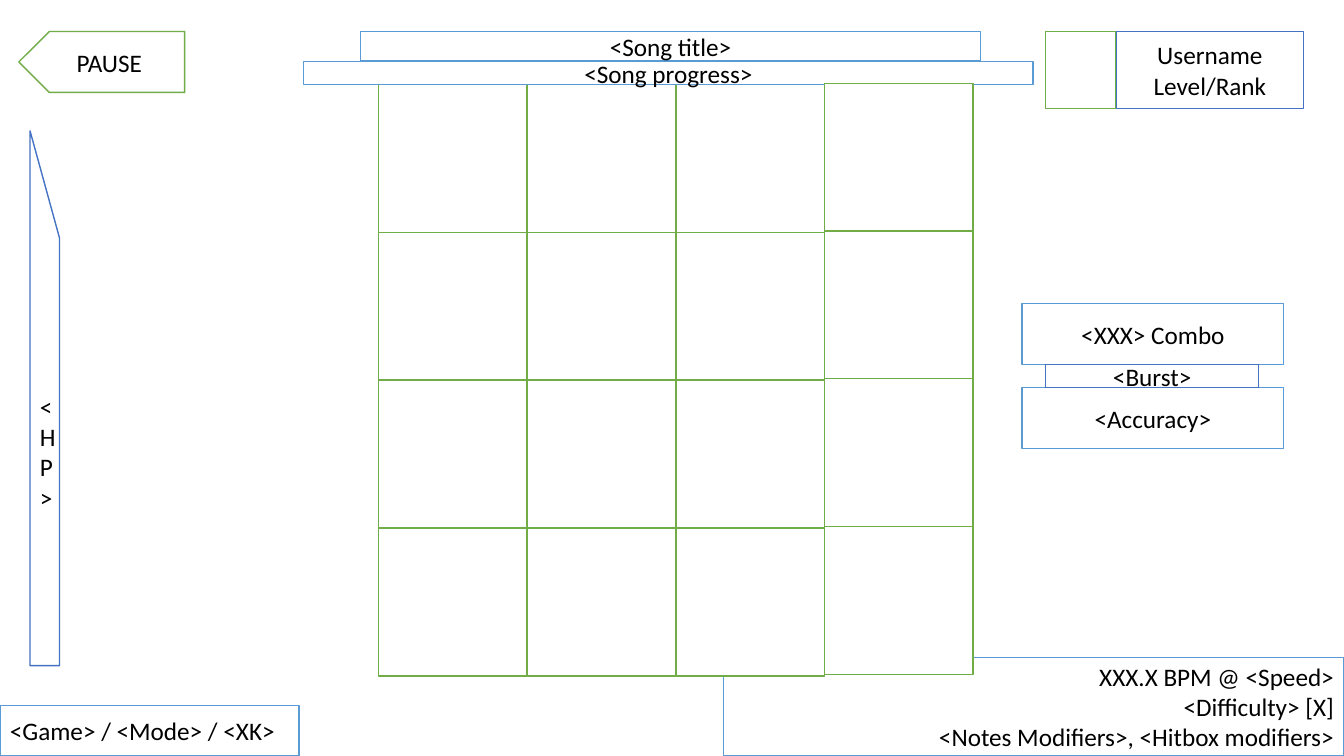
"""Build the wireframe of a rhythm game's play screen."""
from pptx import Presentation
from pptx.dml.color import RGBColor
from pptx.enum import shapes, text
from pptx.util import Pt

COLORS = {"blue": "4472C4", "sky": "5B9BD5", "green": "70AD47",
          "paper": "FFFFFF", "ink": "000000"}
KINDS = shapes.MSO_SHAPE
LEFT, CENTER, RIGHT = (text.PP_ALIGN.LEFT, text.PP_ALIGN.CENTER,
                       text.PP_ALIGN.RIGHT)
FONT = {"name": "Calibri", "size": Pt(18), "bold": False}
FRAME = {"word_wrap": True, "auto_size": text.MSO_AUTO_SIZE.NONE,
         "vertical_anchor": text.MSO_ANCHOR.MIDDLE,
         "margin_left": Pt(7.2), "margin_right": Pt(7.2),
         "margin_top": Pt(3.6), "margin_bottom": Pt(3.6)}

SONG_TITLE = ("<Song title>", (257.5, 22.5, 443, 21), "sky")
MODIFIERS = ("XXX.X BPM @ <Speed>\v<Difficulty> [X]\v"
             "<Notes Modifiers>, <Hitbox modifiers>",
             (517, 469.5, 443, 70), "sky", "paper", RIGHT)
PANELS = [
    ("PAUSE", (13.5, 22.5, 118.5, 43.5), "green", "paper", CENTER,
     KINDS.PENTAGON),
    ("", (747, 22.5, 50, 55), "green", "paper"),
    ("Username\vLevel/Rank", (797.5, 22.5, 133.5, 55), "blue", "paper"),
    ("<Game> / <Mode> / <XK>", (0, 504, 213.5, 36), "sky", "paper", LEFT),
    ("<Song progress>", (217, 44, 521, 16.5), "sky"),
    ("<HP>", (21.5, 93.5, 21, 382), "blue", None, CENTER,
     KINDS.FLOWCHART_MANUAL_INPUT),
    ("<XXX> Combo", (730, 217, 187, 43.5), "sky"),
    ("<Accuracy>", (730, 277, 187, 43.5), "sky"),
    ("<Burst>", (747, 260.5, 152, 16.5), "blue"),
]
GRID = {"left": 270.5, "top": 60.5, "cell": 106, "across": 106.2,
        "down": 105.5, "rows": 4}


def rgb(name):
    return RGBColor.from_string(COLORS[name])


def set_all(target, values):
    for name, value in values.items():
        setattr(target, name, value)


def style(box, label, line, fill=None, align=CENTER):
    box.line.color.rgb = rgb(line)
    box.line.width = Pt(1)
    if fill:
        box.fill.solid()
        box.fill.fore_color.rgb = rgb(fill)
    else:
        box.fill.background()
    if not label:
        return
    frame = box.text_frame
    set_all(frame, FRAME)
    frame.text = label
    para = frame.paragraphs[0]
    para.alignment = align
    for span in para.runs:
        set_all(span.font, FONT)
        span.font.color.rgb = rgb("ink")


def add_panel(page, label, place, line, fill=None, align=CENTER,
              kind=KINDS.RECTANGLE):
    box = page.shapes.add_shape(kind, *map(Pt, place))
    box.shadow.inherit = False
    style(box, label, line, fill, align)
    return box


def flip(box):
    box._element.spPr.xfrm.set("flipH", "1")


def add_column(page, column, rise=0):
    left = GRID["left"] + column * GRID["across"]
    for row in range(GRID["rows"]):
        top = GRID["top"] + row * GRID["down"] - rise
        add_panel(page, "", (left, top, GRID["cell"], GRID["cell"]),
                  "green", "paper")


deck = Presentation()
deck.slide_width, deck.slide_height = Pt(960), Pt(540)
page = deck.slides.add_slide(deck.slide_layouts[5])

label, place, line = SONG_TITLE
title = page.shapes.title
set_all(title, dict(zip(("left", "top", "width", "height"), map(Pt, place))))
style(title, label, line)

add_panel(page, *MODIFIERS)
for column in range(3):
    add_column(page, column)
for panel in PANELS:
    box = add_panel(page, *panel)
    if box.auto_shape_type != KINDS.RECTANGLE:
        flip(box)
add_column(page, 3, rise=1)

deck.save("out.pptx")
